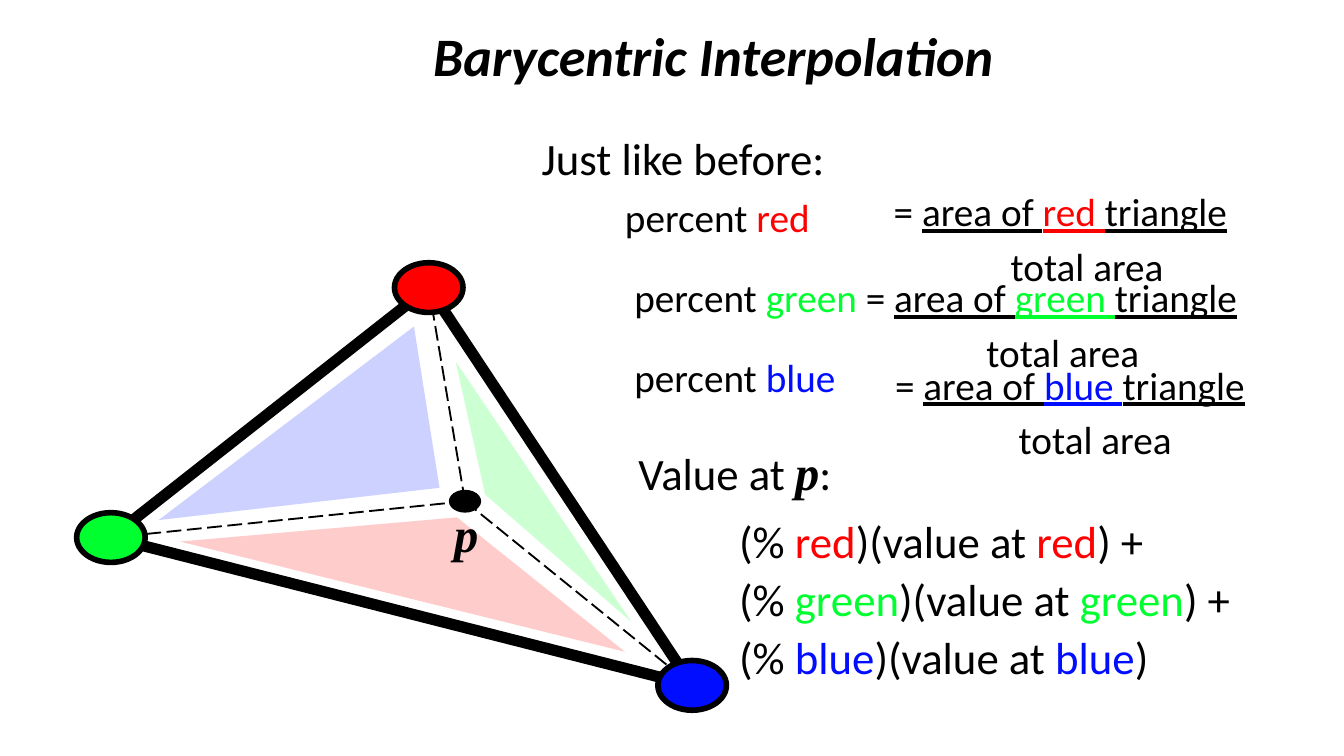
from lxml import etree
from pptx import Presentation
from pptx.dml.color import RGBColor
from pptx.enum.dml import MSO_LINE
from pptx.enum.shapes import MSO_CONNECTOR, MSO_SHAPE
from pptx.enum.text import PP_ALIGN
from pptx.oxml.ns import qn
from pptx.util import Inches, Pt

OVAL = MSO_SHAPE.OVAL
STRAIGHT = MSO_CONNECTOR.STRAIGHT
LONG_DASH = MSO_LINE.LONG_DASH
CENTER = PP_ALIGN.CENTER
LEFT = PP_ALIGN.LEFT

BLACK, RED, GREEN, BLUE = "000000", "FF0000", "00FF2F", "000DFF"
COLORS = {"red": RED, "green": GREEN, "blue": BLUE}
SERIF = "Times New Roman"


def rgb(value):
    return RGBColor.from_string(value)


def write(paragraph, text, size=24, font="Calibri", color=BLACK,
          bold=False, italic=False, underline=False):
    run = paragraph.add_run()
    run.text = text
    run.font.size = Pt(size)
    run.font.name = font
    run.font.color.rgb = rgb(color)
    run.font.bold = bold
    run.font.italic = italic
    run.font.underline = underline


# Slide in 16:9, divided into a grid of 100 columns
prs = Presentation()
prs.slide_width = Inches(10)
prs.slide_height = prs.slide_width * 9 // 16
CELL = prs.slide_width // 100
slide = prs.slides.add_slide(prs.slide_layouts[6])
shapes = slide.shapes

# Points of the figure, in grid cells
corners = {"red": (31.9, 21.4), "green": (8.25, 40), "blue": (51.5, 51)}
p_x, p_y = 34.6, 37.3

# Three inner areas, then the outer triangle
triangles = [
    ([(30.8, 24.3), (11.8, 38.7), (32.7, 36.3)], "CCD1FF"),
    ([(34, 38.5), (13.4, 40.3), (46.5, 48.5)], "FFCCCC"),
    ([(33.9, 26.9), (36.1, 36.8), (47, 46.3)], "CCFFD2"),
    (list(corners.values()), None),
]
for points, area_color in triangles:
    if area_color is None:
        # Dashed lines from p lie below the outline
        for x, y in corners.values():
            spoke = shapes.add_connector(STRAIGHT, int(p_x * CELL), int(p_y * CELL),
                                         int(x * CELL), int(y * CELL))
            spoke.line.color.rgb = rgb(BLACK)
            spoke.line.width = Pt(1)
            spoke.line.dash_style = LONG_DASH
            etree.SubElement(spoke._element.spPr, qn("a:effectLst"))
    start, *others = [(x * CELL, y * CELL) for x, y in points]
    builder = shapes.build_freeform(*start)
    builder.add_line_segments(others, close=True)
    triangle = builder.convert_to_shape()
    triangle.shadow.inherit = False
    if area_color:
        triangle.fill.solid()
        triangle.fill.fore_color.rgb = rgb(area_color)
        triangle.line.fill.background()
    else:
        triangle.fill.background()
        triangle.line.color.rgb = rgb(BLACK)
        triangle.line.width = Pt(6)

# Corner dots and the dot at p
dots = [(*corners[name], 5.1, 3.7, COLORS[name]) for name in corners]
dots.append((p_x, p_y, 2.4, 1.7, BLACK))
for x, y, width, height, dot_color in dots:
    dot = shapes.add_shape(OVAL, int((x - width / 2) * CELL), int((y - height / 2) * CELL),
                           int(width * CELL), int(height * CELL))
    dot.shadow.inherit = False
    dot.fill.solid()
    dot.fill.fore_color.rgb = rgb(dot_color)
    if dot_color == BLACK:
        dot.line.fill.background()
    else:
        dot.line.color.rgb = rgb(BLACK)
        dot.line.width = Pt(3)

# Recurring runs
p_symbol = ("p", dict(size=26, font=SERIF, bold=True, italic=True))
small = dict(size=21)
percent = {name: [("percent ", small), (name, dict(size=21, color=color))]
           for name, color in COLORS.items()}
numerator = {name: [("= ", small), ("area of ", dict(size=21, underline=True)),
                    (name + " ", dict(size=21, color=color, underline=True)),
                    ("triangle", dict(size=21, underline=True))]
             for name, color in COLORS.items()}
green_label = [("percent ", small), ("green ", dict(size=21, color=GREEN))]
denominator = [("total area", small)]

# Weighted sum, one line per colour
weighted_sum = []
for name, color in COLORS.items():
    tinted = (name, dict(color=color))
    tail = ")" if name == "blue" else ") +"
    line_spacing, space_before = (1, 7) if name == "red" else (1.08, 0)
    weighted_sum.append((7.6, line_spacing, space_before, LEFT,
                         [("(% ", {}), tinted, (")(value at ", {}), tinted, (tail, {})]))

# Boxes: left, top, width, height and paragraphs
# Paragraphs: indent, line spacing, space before, alignment, runs
boxes = [
    (33.7, 37.5, 2.3, 3.6, [(0.1, 1, 0, LEFT, [p_symbol])]),
    (47.4, 32.9, 50.1, 14.6,
     [(0.1, 1, 0, LEFT, [("Value at ", {}), p_symbol, (":", {})])] + weighted_sum),
    (40.2, 9.7, 23.9, 6.7, [(0.1, 1, 0, LEFT, [("Just like before:", {})]),
                            (6.3, 1, 5, LEFT, percent["red"])]),
    (47.1, 26.3, 17, 2.9, [(0.1, 1, 0, LEFT, percent["blue"])]),
    (20.2, 1.7, 57.7, 7.2, [(8.1, 1, 0, CENTER, [("Barycentric Interpolation",
                                                  dict(size=29, bold=True, italic=True))])]),
]
fractions = [
    (66.4, 13.4, 27.7, 8.8, numerator["red"]),
    (47.1, 19.8, 50.3, 26.3, green_label + numerator["green"]),
    (66.5, 26.3, 29.2, 9.3, numerator["blue"]),
]
for left, top, width, indent, upper in fractions:
    boxes.append((left, top, width, 5.5, [(0.1, 1.16, 0, LEFT, upper),
                                          (indent, 1.16, 0, LEFT, denominator)]))

for left, top, width, height, paragraphs in boxes:
    frame = shapes.add_textbox(int(left * CELL), int(top * CELL),
                               int(width * CELL), int(height * CELL)).text_frame
    frame.word_wrap = True
    frame.margin_left = frame.margin_top = frame.margin_right = frame.margin_bottom = 0
    for number, (indent, spacing, before, alignment, runs) in enumerate(paragraphs):
        paragraph = frame.add_paragraph() if number else frame.paragraphs[0]
        paragraph.alignment = alignment
        paragraph.line_spacing = spacing
        paragraph.space_before = Pt(before)
        paragraph._p.get_or_add_pPr().set("marL", str(int(indent * CELL)))
        for text, text_format in runs:
            write(paragraph, text, **text_format)

prs.save("out.pptx")
